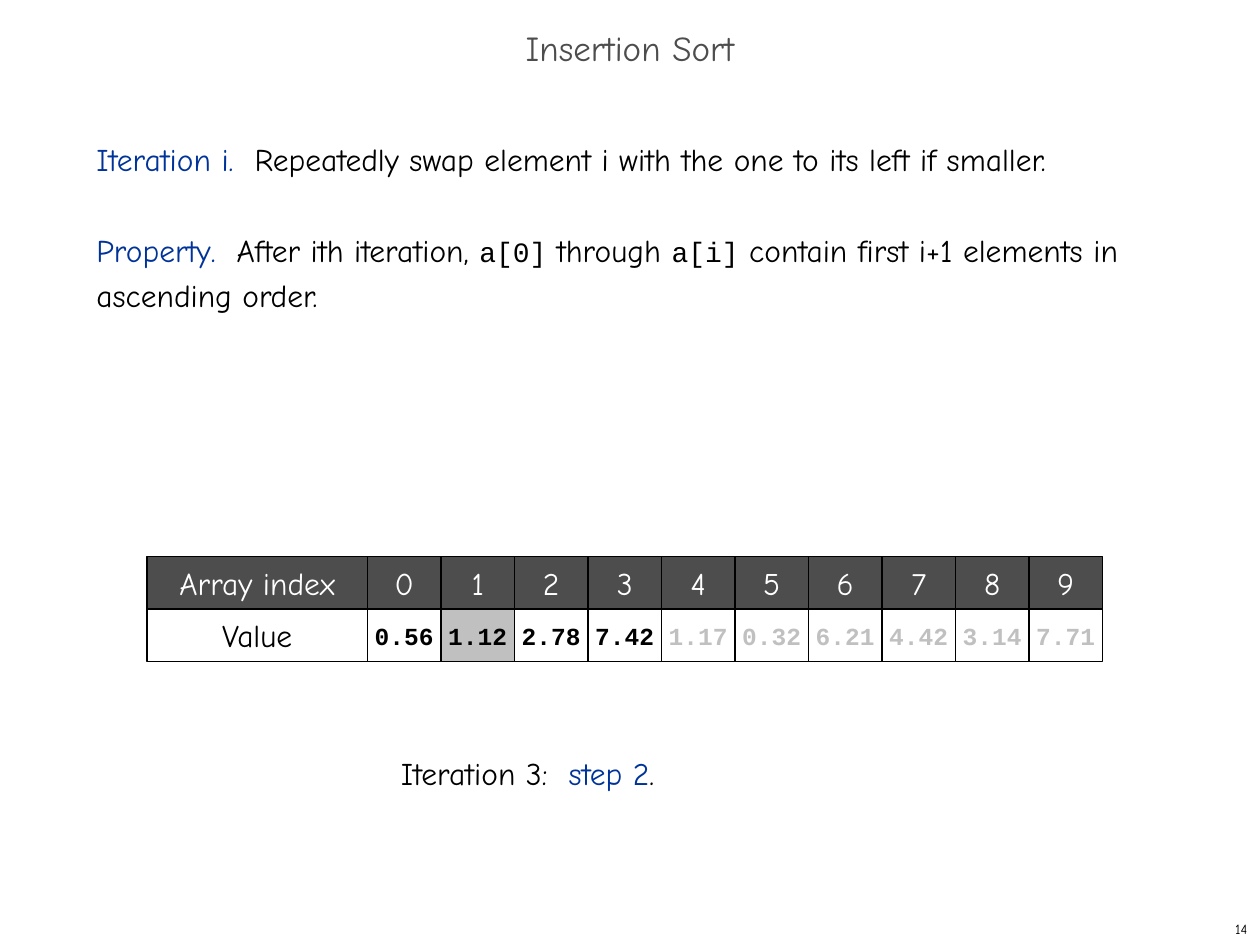
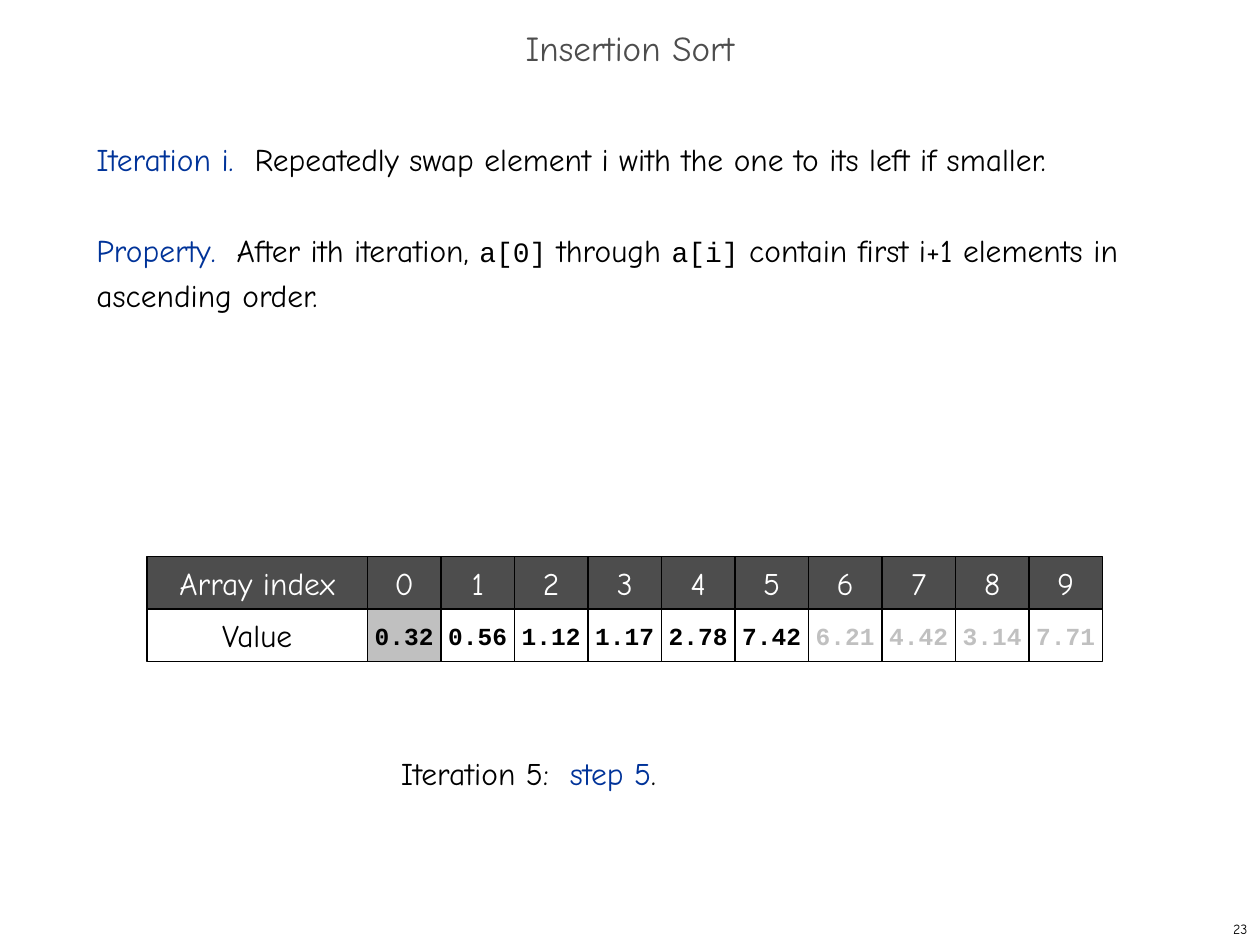
from dataclasses import dataclass

from pptx import Presentation
from pptx.dml.color import RGBColor
from pptx.enum.shapes import MSO_SHAPE
from pptx.enum.text import MSO_ANCHOR, MSO_AUTO_SIZE, PP_ALIGN
from pptx.util import Inches, Pt

COLORS = {
    "ink": "000000",
    "accent": "003399",
    "dark": "4D4D4D",
    "muted": "C0C0C0",
    "paper": "FFFFFF",
}
HAND, CODE = "Comic Neue", "Courier New"
SLIDE_WIDTH, SLIDE_HEIGHT = Inches(10), Inches(7.5)
GRID_COLUMNS, GRID_ROWS = 120, 90


@dataclass(frozen=True)
class Area:
    column: float
    row: float
    columns: float
    rows: float

    def emu(self) -> tuple[int, int, int, int]:
        across, down = SLIDE_WIDTH / GRID_COLUMNS, SLIDE_HEIGHT / GRID_ROWS
        return (round(self.column * across), round(self.row * down),
                round(self.columns * across), round(self.rows * down))


@dataclass(frozen=True)
class Words:
    text: str
    color: str = "ink"
    size: int = 18
    font: str = HAND
    bold: bool = False


@dataclass(frozen=True)
class SortStep:
    page: int
    iteration: int
    step: int
    values: tuple[str, ...]


TITLE_AREA = Area(0, 2, 120, 6)
RULES_AREA = Area(8, 12, 106, 71)
CAPTION_AREA = Area(37, 71.2, 49, 4.8)
PAGE_AREA = Area(95, 87, 25, 3)
ARRAY_LEFT, ARRAY_TOP = 14, 53
LABEL_COLUMNS, CELL_COLUMNS, CELL_ROWS = 21, 7, 5

RULES = (
    (
        Words("Iteration i.  ", "accent"),
        Words("Repeatedly swap element i with the one to its left if smaller."),
    ),
    (
        Words("Property.  ", "accent"),
        Words("After ith iteration, "),
        Words("a[0]", size=16, font=CODE),
        Words(" through "),
        Words("a[i]", size=16, font=CODE),
        Words(" contain first i+1 elements in ascending order."),
    ),
)

STEPS = (
    SortStep(14, 3, 2, ("0.56", "1.12", "2.78", "7.42", "1.17",
                        "0.32", "6.21", "4.42", "3.14", "7.71")),
    SortStep(23, 5, 5, ("0.32", "0.56", "1.12", "1.17", "2.78",
                        "7.42", "6.21", "4.42", "3.14", "7.71")),
)


def rgb(color: str) -> RGBColor:
    return RGBColor.from_string(COLORS[color])


def write(paragraph, *phrases: Words, align=PP_ALIGN.LEFT) -> None:
    paragraph.alignment = align
    for words in phrases:
        run = paragraph.add_run()
        run.text = words.text
        run.font.name = words.font
        run.font.size = Pt(words.size)
        run.font.bold = words.bold
        run.font.color.rgb = rgb(words.color)


def add_title(slide) -> None:
    title = slide.shapes.title
    title.left, title.top, title.width, title.height = TITLE_AREA.emu()
    frame = title.text_frame
    frame.auto_size = MSO_AUTO_SIZE.NONE
    frame.vertical_anchor = MSO_ANCHOR.MIDDLE
    heading = frame.paragraphs[0]
    heading.line_spacing = 0.7
    write(heading, Words("Insertion Sort", "dark", 20), align=PP_ALIGN.CENTER)


def add_text_frame(slide, area: Area, wrap: bool = True):
    frame = slide.shapes.add_textbox(*area.emu()).text_frame
    frame.word_wrap = wrap
    return frame


def add_rules(slide) -> None:
    frame = add_text_frame(slide, RULES_AREA)
    for position, rule in enumerate(RULES):
        paragraph = frame.add_paragraph() if position else frame.paragraphs[0]
        paragraph.line_spacing = Pt(26)
        paragraph.space_before = Pt(26 if position else 0)
        write(paragraph, *rule)


def add_cell(slide, area: Area, fill: str, words: Words) -> None:
    cell = slide.shapes.add_shape(MSO_SHAPE.RECTANGLE, *area.emu())
    cell.shadow.inherit = False
    cell.fill.solid()
    cell.fill.fore_color.rgb = rgb(fill)
    cell.line.color.rgb = rgb("ink")
    cell.line.width = Pt(0.75)
    frame = cell.text_frame
    frame.word_wrap = False
    frame.vertical_anchor = MSO_ANCHOR.MIDDLE
    write(frame.paragraphs[0], words, align=PP_ALIGN.CENTER)


def add_array(slide, state: SortStep) -> None:
    value_top = ARRAY_TOP + CELL_ROWS
    add_cell(slide, Area(ARRAY_LEFT, ARRAY_TOP, LABEL_COLUMNS, CELL_ROWS),
             "dark", Words("Array index", "paper"))
    add_cell(slide, Area(ARRAY_LEFT, value_top, LABEL_COLUMNS, CELL_ROWS),
             "paper", Words("Value"))
    moving_index = state.iteration - state.step
    for index, value in enumerate(state.values):
        left = ARRAY_LEFT + LABEL_COLUMNS + index * CELL_COLUMNS
        add_cell(slide, Area(left, ARRAY_TOP, CELL_COLUMNS, CELL_ROWS),
                 "dark", Words(str(index), "paper"))
        fill = "muted" if index == moving_index else "paper"
        color = "ink" if index <= state.iteration else "muted"
        add_cell(slide, Area(left, value_top, CELL_COLUMNS, CELL_ROWS),
                 fill, Words(value, color, 14, CODE, True))


def add_caption(slide, state: SortStep) -> None:
    frame = add_text_frame(slide, CAPTION_AREA)
    write(frame.paragraphs[0], Words(f"Iteration {state.iteration}:  "),
          Words(f"step {state.step}", "accent"), Words("."))


def add_page_number(slide, page: int) -> None:
    frame = add_text_frame(slide, PAGE_AREA, wrap=False)
    frame.vertical_anchor = MSO_ANCHOR.MIDDLE
    write(frame.paragraphs[0], Words(str(page), size=8), align=PP_ALIGN.RIGHT)


def main() -> None:
    deck = Presentation()
    deck.slide_width, deck.slide_height = SLIDE_WIDTH, SLIDE_HEIGHT
    title_only = deck.slide_layouts.get_by_name("Title Only")
    for state in STEPS:
        slide = deck.slides.add_slide(title_only)
        add_title(slide)
        add_rules(slide)
        add_array(slide, state)
        add_caption(slide, state)
        add_page_number(slide, state.page)
    deck.save("out.pptx")


main()
